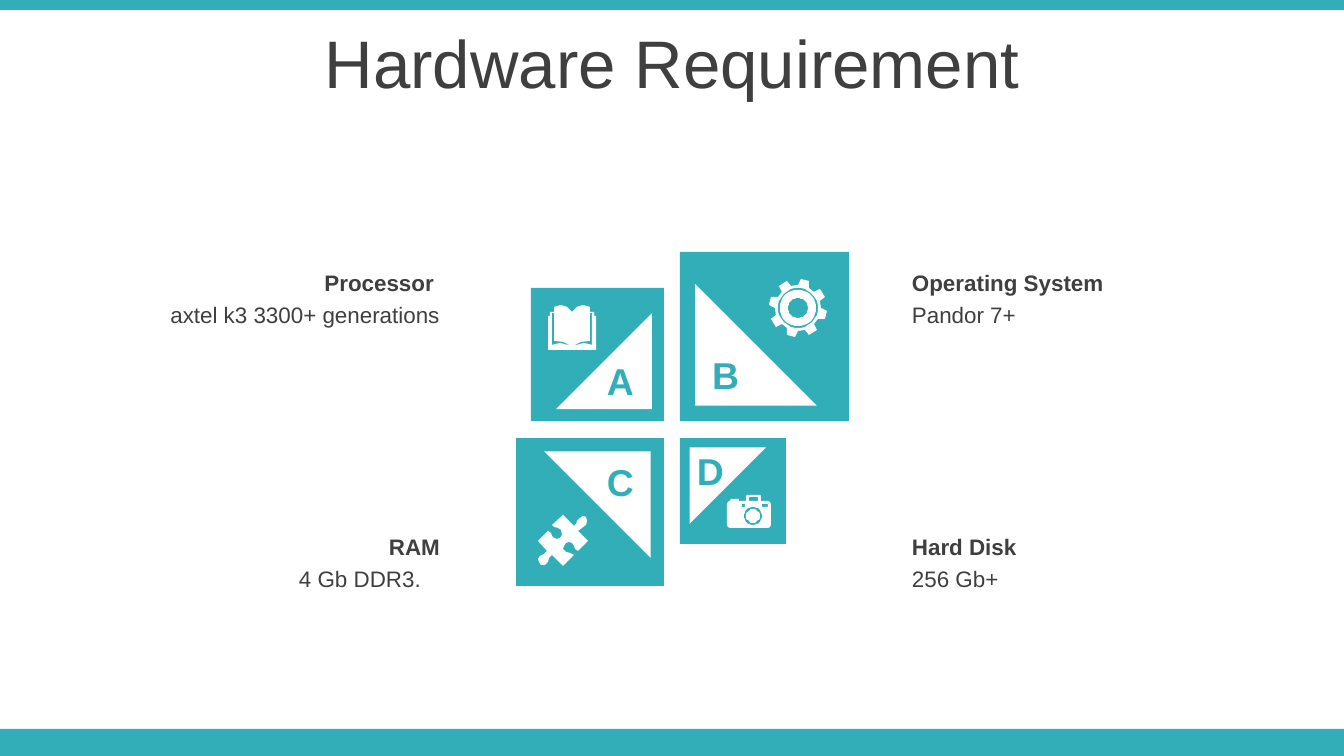
from math import cos, sin, radians

from pptx import Presentation
from pptx.dml.color import RGBColor
from pptx.enum.shapes import MSO_SHAPE
from pptx.enum.text import MSO_ANCHOR, MSO_AUTO_SIZE, PP_ALIGN
from pptx.util import Pt

COLORS = {"teal": "32AEB8", "white": "FFFFFF", "text": "3F3F3F"}
FONT = "Arial"
EMU_PER_PX = 914400 / 134.4
WIDTH, HEIGHT = 1344, 756

TITLE = "Hardware Requirement"
BANDS = [(0, 729, WIDTH, 27), (0, 0, WIDTH, 10)]

INNER_X, INNER_Y = (664, 680), (421, 438)
TILES = [
    {"letter": "A", "side": 133, "col": 0, "row": 0, "turn": 270, "letter_at": (591, 351)},
    {"letter": "B", "side": 169, "col": 1, "row": 0, "turn": 0, "letter_at": (696, 345)},
    {"letter": "D", "side": 106, "col": 1, "row": 1, "turn": 90, "letter_at": (681, 441)},
    {"letter": "C", "side": 148, "col": 0, "row": 1, "turn": 180, "letter_at": (591, 452)},
]
TRIANGLE_SHARE, INSET_SHARE = 0.72, 0.09
LETTER_BOX = 59

REQUIREMENTS = [
    {"heading": "Processor", "value": "axtel k3 3300+ generations", "col": 0, "row": 0, "indents": (6, 0)},
    {"heading": "RAM", "value": "4 Gb DDR3.", "col": 0, "row": 1, "indents": (0, 19)},
    {"heading": "Operating System", "value": "Pandor 7+", "col": 1, "row": 0, "indents": (0, 0)},
    {"heading": "Hard Disk", "value": "256 Gb+", "col": 1, "row": 1, "indents": (0, 0)},
]
LABEL_X, LABEL_Y = (79, 899), (262, 526)
LABEL_W, LABEL_H, LABEL_STEP = 374, 40, 32
MARGIN_X, MARGIN_Y = 13, 7

BOOK_AXIS = 572
BOOK_COVER_HALF = [(572, 312), (567, 307), (561, 305), (554, 307), (554, 312),
                   (550, 312), (550, 316), (548, 316), (548, 350)]
BOOK_PAGE_GAP = [(554, 313), (552, 313), (552, 345), (560, 343), (571, 346), (563, 342), (554, 341)]
BOOK_SPINE = (571.5, 312, 572.5, 346)

PUZZLE = [(586, 517), (587, 521), (586, 525), (582, 528), (578, 531), (588, 541), (578, 551),
          (575, 549), (574, 546), (572, 543), (569, 542), (566, 543), (564, 546), (563, 549),
          (566, 552), (570, 553), (574, 555), (563, 566), (552, 555), (549, 558), (548, 562),
          (545, 565), (541, 565), (539, 562), (538, 559), (540, 556), (544, 554), (547, 551),
          (538, 541), (548, 531), (551, 533), (552, 536), (554, 538), (557, 539), (560, 538),
          (562, 535), (561, 530), (558, 528), (554, 527), (552, 525), (563, 515), (574, 526),
          (576, 524), (577, 521), (580, 518), (583, 516)]

GEAR_CENTER, GEAR_RINGS = (798, 308), (20, 18, 10)
GEAR_TOOTH = [(5, 29), (22, 29), (28, 23), (45, 23)]

CAMERA_BODY = [(730, 501), (731, 499), (739, 499), (739, 501), (746, 501), (746, 496), (747, 495),
               (760, 495), (761, 496), (761, 501), (768, 501), (770, 502), (771, 504), (771, 525),
               (770, 527), (768, 528), (730, 528), (728, 527), (727, 525), (727, 504), (728, 502)]
CAMERA_WINDOWS = [(749, 497, 758, 501), (742, 504, 745, 507), (762, 504, 768, 507)]
CAMERA_LENS, CAMERA_RINGS = (753, 516), (9, 7)


def px(length):
    return round(length * EMU_PER_PX)


def color(name):
    return RGBColor.from_string(COLORS[name])


def paint(shape, name):
    shape.shadow.inherit = False
    shape.fill.solid()
    shape.fill.fore_color.rgb = color(name)
    shape.line.fill.background()


def add_block(shapes, preset, box, name, turn=0):
    block = shapes.add_shape(preset, *map(px, box))
    block.rotation = turn
    paint(block, name)


def add_icon(shapes, contours):
    first, *holes = contours
    builder = shapes.build_freeform(*first[0], scale=EMU_PER_PX)
    builder.add_line_segments(first[1:], close=True)
    for hole in holes:
        builder.move_to(*hole[0])
        builder.add_line_segments(hole[1:], close=True)
    paint(builder.convert_to_shape(), "white")


def polar(center, degrees, radius):
    angle = radians(degrees)
    return center[0] + radius * sin(angle), center[1] - radius * cos(angle)


def circle(center, radius):
    return [polar(center, step * 10, radius) for step in range(36)]


def rectangle(left, top, right, bottom):
    return [(left, top), (right, top), (right, bottom), (left, bottom)]


def mirror(points):
    return [(2 * BOOK_AXIS - x, y) for x, y in points]


def set_text(frame, text, size, name, align, bold=False):
    frame.text = text
    frame.word_wrap = True
    paragraph = frame.paragraphs[0]
    paragraph.alignment = align
    font = paragraph.runs[0].font
    font.name, font.size, font.bold = FONT, Pt(size), bold
    font.color.rgb = color(name)


def add_label(shapes, box, text, size, name, align, bold=False, indent=0):
    frame = shapes.add_textbox(*map(px, box)).text_frame
    frame.margin_left, frame.margin_right = px(MARGIN_X), px(MARGIN_X + indent)
    frame.margin_top = frame.margin_bottom = px(MARGIN_Y)
    set_text(frame, text, size, name, align, bold)
    frame.auto_size = MSO_AUTO_SIZE.SHAPE_TO_FIT_TEXT


def add_tile(shapes, tile):
    side, col, row = tile["side"], tile["col"], tile["row"]
    triangle = side * TRIANGLE_SHARE
    inset = side * INSET_SHARE

    def box(size, offset):
        left = INNER_X[1] + offset if col else INNER_X[0] - offset - size
        top = INNER_Y[1] + offset if row else INNER_Y[0] - offset - size
        return left, top, size, size

    group = shapes.add_group_shape().shapes
    add_block(group, MSO_SHAPE.RECTANGLE, box(side, 0), "teal")
    add_block(group, MSO_SHAPE.RIGHT_TRIANGLE, box(triangle, inset), "white", tile["turn"])


def add_requirement(shapes, item):
    group = shapes.add_group_shape().shapes
    align = PP_ALIGN.LEFT if item["col"] else PP_ALIGN.RIGHT
    for line, part in enumerate(("heading", "value")):
        top = LABEL_Y[item["row"]] + line * LABEL_STEP
        add_label(group, (LABEL_X[item["col"]], top, LABEL_W, LABEL_H), item[part], 12, "text",
                  align, bold=part == "heading", indent=item["indents"][line])


def main():
    deck = Presentation()
    deck.slide_width, deck.slide_height = px(WIDTH), px(HEIGHT)
    slide = deck.slides.add_slide(deck.slide_layouts[5])
    shapes = slide.shapes

    for band in BANDS:
        add_block(shapes, MSO_SHAPE.RECTANGLE, band, "teal")

    title = shapes.title
    title.left, title.top, title.width, title.height = map(px, (0, 19, WIDTH, 85))
    set_text(title.text_frame, TITLE, 36, "text", PP_ALIGN.CENTER)
    title.text_frame.vertical_anchor = MSO_ANCHOR.MIDDLE

    for tile in TILES:
        add_tile(shapes, tile)
    for tile in TILES:
        add_label(shapes, (*tile["letter_at"], LETTER_BOX, LETTER_BOX), tile["letter"], 20, "teal",
                  PP_ALIGN.CENTER, bold=True)

    cover = BOOK_COVER_HALF + mirror(BOOK_COVER_HALF[:0:-1])
    gear = [polar(GEAR_CENTER, tooth * 45 + degrees, radius)
            for tooth in range(8) for degrees, radius in GEAR_TOOTH]
    add_icon(shapes, [cover, BOOK_PAGE_GAP, mirror(BOOK_PAGE_GAP), rectangle(*BOOK_SPINE)])
    add_icon(shapes, [PUZZLE])
    add_icon(shapes, [gear] + [circle(GEAR_CENTER, radius) for radius in GEAR_RINGS])
    add_icon(shapes, [CAMERA_BODY] + [rectangle(*window) for window in CAMERA_WINDOWS]
             + [circle(CAMERA_LENS, radius) for radius in CAMERA_RINGS])

    for item in REQUIREMENTS:
        add_requirement(shapes, item)

    deck.save("out.pptx")


if __name__ == "__main__":
    main()
